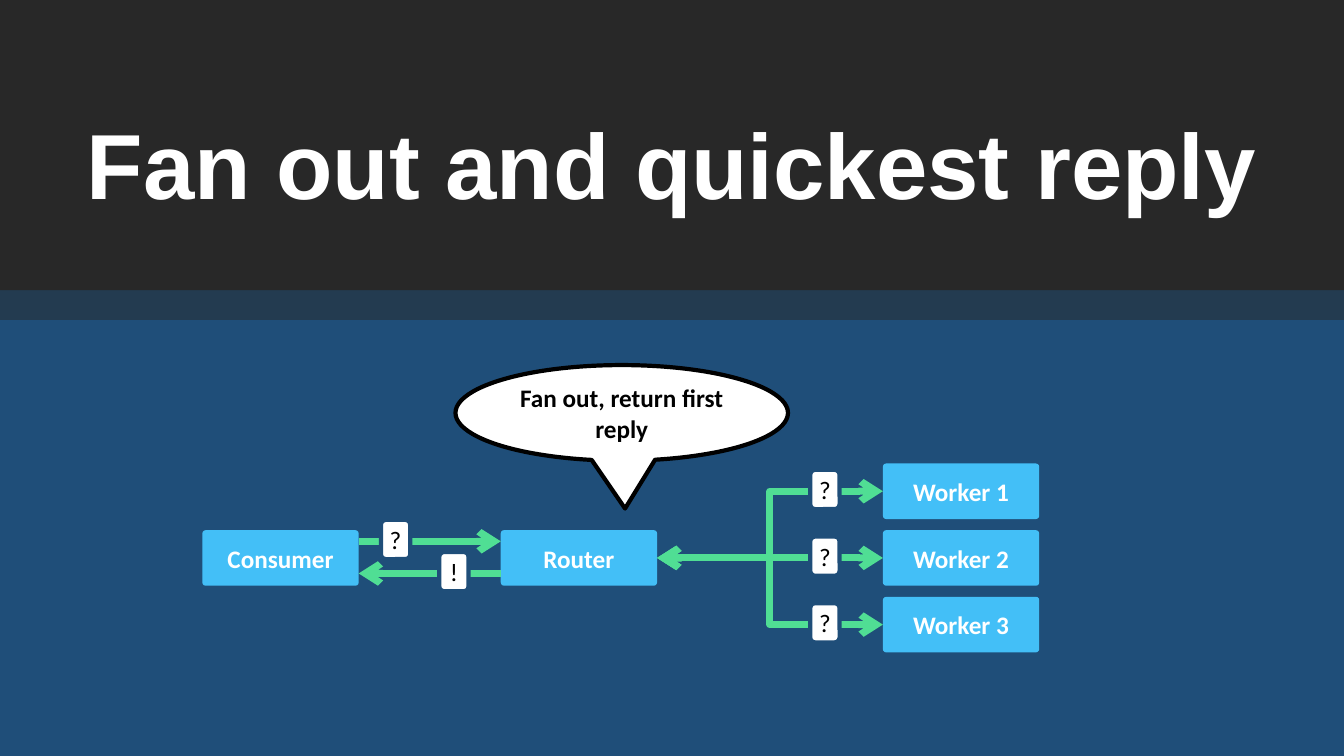
from pptx import Presentation
from pptx.dml.color import RGBColor
from pptx.enum.shapes import MSO_CONNECTOR, MSO_SHAPE
from pptx.enum.text import MSO_ANCHOR, PP_ALIGN
from pptx.oxml import parse_xml
from pptx.oxml.ns import nsdecls, qn
from pptx.oxml.xmlchemy import OxmlElement
from pptx.util import Cm, Pt

RECT, ROUND = MSO_SHAPE.RECTANGLE, MSO_SHAPE.ROUNDED_RECTANGLE
BUBBLE = MSO_SHAPE.OVAL_CALLOUT
STRAIGHT, ELBOW = MSO_CONNECTOR.STRAIGHT, MSO_CONNECTOR.ELBOW
CENTER, MIDDLE = PP_ALIGN.CENTER, MSO_ANCHOR.MIDDLE
LEFT, RIGHT = 1, 3

COLORS = {
    "back": "1F4E79", "dark": "282828", "band": "233B50", "node": "43BFF7",
    "arrow": "50DE94", "white": "FFFFFF", "black": "000000",
}
WIDTH, HEIGHT = 33.87, 19.05
NODE_W, NODE_H = 3.94, 1.4
TAG_W, TAG_H = 0.74, 0.99


def color(name):
    return RGBColor.from_string(COLORS[name])


def write(frame, text, ink, size=18, bold=True, font="Calibri"):
    para = frame.paragraphs[0]
    para.alignment = CENTER
    run = para.add_run()
    run.text = text
    run.font.name, run.font.size, run.font.bold = font, Pt(size), bold
    run.font.color.rgb = color(ink)
    return run


def block(slide, kind, box, fill, edge=None):
    shape = slide.shapes.add_shape(kind, *map(Cm, box))
    shape.shadow.inherit = False
    shape.fill.solid()
    shape.fill.fore_color.rgb = color(fill)
    if edge:
        shape.line.color.rgb = color(edge)
        shape.line.width = Pt(3)
    else:
        shape.line.fill.background()
    shape.text_frame.vertical_anchor = MIDDLE
    return shape


def node(slide, x, y, text):
    shape = block(slide, ROUND, (x, y, NODE_W, NODE_H), "node")
    shape.adjustments[0] = 0.06
    write(shape.text_frame, text, "white")
    return shape


def tag(slide, x, mid, text):
    """Place a message mark on the line at height mid."""
    shape = block(slide, ROUND, (x, mid - 0.54, TAG_W, TAG_H), "white", "back")
    frame = shape.text_frame
    frame.margin_left = frame.margin_right = 0
    frame.word_wrap = False
    write(frame, text, "black", bold=False)


def arrow(slide, kind, start, end, heads):
    link = slide.shapes.add_connector(kind, *map(Cm, start + end))
    link.line.color.rgb = color("arrow")
    link.line.width = Pt(5)
    props = link._element.spPr
    for head in heads:
        tip = OxmlElement(f"a:{head}")
        tip.set("type", "arrow")
        props.find(qn("a:ln")).append(tip)
    props.append(OxmlElement("a:effectLst"))
    return link


def header(slide, x, y, w, h):
    strip = 0.75
    block(slide, RECT, (x, y + h - strip, w, strip), "band")
    block(slide, RECT, (x, y, w, h - strip), "dark")
    title = slide.shapes.title
    title.left, title.top, title.width, title.height = map(
        Cm, (x, y + 2.57, w, 3.07))
    title.text_frame.vertical_anchor = MIDDLE
    run = write(title.text_frame, "Fan out and quickest reply", "white", 66,
                font="Arial")
    shade = parse_xml(
        f'<a:effectLst {nsdecls("a")}><a:outerShdw dist="76200" dir="2700000">'
        f'<a:srgbClr val="{COLORS["black"]}"/></a:outerShdw></a:effectLst>')
    run.font.fill._xPr.find(qn("a:solidFill")).addnext(shade)
    slide.shapes._spTree.append(title._element)  # bring in front of the bands


def flow(slide, x, y):
    """Draw the message flow from consumer through router to workers."""
    rows = [y + 2.48 + 1.68 * i for i in range(3)]
    far = x + NODE_W
    hub, last = x + 7.52, x + 17.15
    node(slide, x, rows[1], "Consumer")
    router = node(slide, hub, rows[1], "Router")

    for mid, head, shift, mark in ((y + 4.44, "tailEnd", 4.5, "?"),
                                   (y + 5.25, "headEnd", 5.97, "!")):
        arrow(slide, STRAIGHT, (far, mid), (hub, mid), [head])
        tag(slide, x + shift, mid, mark)

    start = (hub + NODE_W, rows[1] + NODE_H / 2)
    for i, row in enumerate(rows):
        worker = node(slide, last, row, f"Worker {i + 1}")
        mid = row + NODE_H / 2
        link = arrow(slide, STRAIGHT if i == 1 else ELBOW, start, (last, mid),
                     ["headEnd", "tailEnd"])
        link.begin_connect(router, RIGHT)
        link.end_connect(worker, LEFT)
        tag(slide, x + 15.32, mid, "?")

    note = block(slide, BUBBLE, (x + 6.38, y, 8.38, 2.41), "white", "black")
    note.adjustments[0], note.adjustments[1] = 0.01, 1
    write(note.text_frame, "Fan out, return first reply", "black")


def main():
    deck = Presentation()
    deck.slide_width, deck.slide_height = Cm(WIDTH), Cm(HEIGHT)
    slide = deck.slides.add_slide(deck.slide_layouts[5])
    slide.background.fill.solid()
    slide.background.fill.fore_color.rgb = color("back")
    header(slide, 0, 0, WIDTH, 8.06)
    flow(slide, 5.1, 9.2)
    deck.save("out.pptx")


if __name__ == "__main__":
    main()
